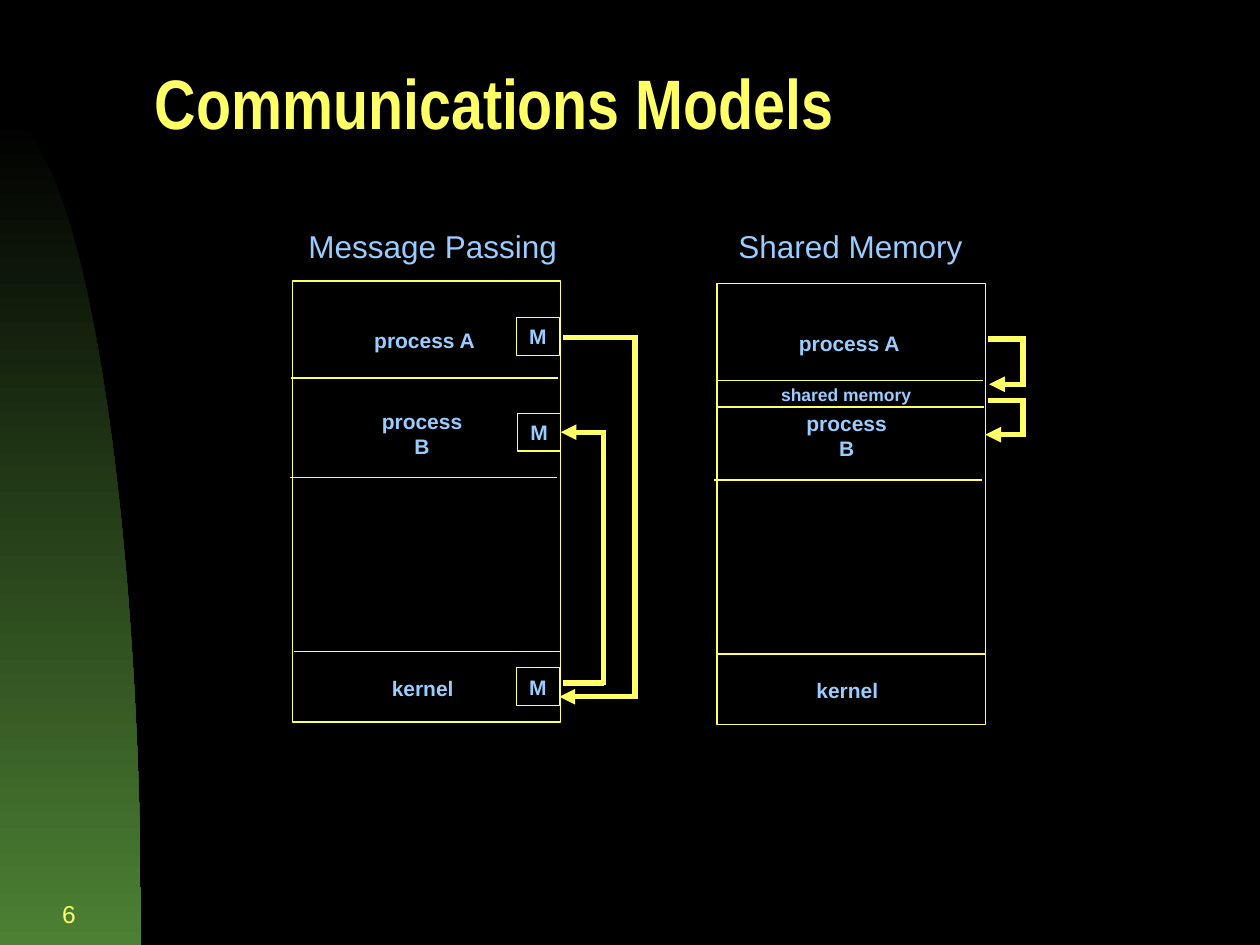
from dataclasses import dataclass

import pptx
import pptx.dml.color
import pptx.enum.shapes
import pptx.enum.text
import pptx.util
from lxml import etree
from pptx.oxml.ns import qn

Align = pptx.enum.text.PP_ALIGN
Fit = pptx.enum.text.MSO_AUTO_SIZE
RECTANGLE = pptx.enum.shapes.MSO_SHAPE.RECTANGLE
STRAIGHT = pptx.enum.shapes.MSO_CONNECTOR.STRAIGHT
COLUMNS, ROWS = 100, 75  # square cells of 0.1 inch
CORNER = 0.2  # overlap that closes the corner of a thick route


@dataclass(frozen=True)
class Theme:
    background: str = "000000"
    accent: str = "FFFF66"
    label: str = "99CCFF"
    glow: str = "4C8033"
    font: str = "Arial"
    title_font: str = "Arial Narrow"
    title: int = 40
    heading: int = 18
    number: int = 14
    body: int = 12
    small: int = 10
    thin: float = 0.75
    thick: float = 3


@dataclass(frozen=True)
class Label:
    text: str
    left: float
    top: float
    width: float
    height: float = 3
    size: int = Theme.body
    bold: bool = True


@dataclass(frozen=True)
class Divider:
    shift: float
    row: float


@dataclass(frozen=True)
class Route:
    """A bracket-shaped arrow: out from start, along the bend column, back to end."""
    start: tuple[float, float]
    bend: float
    end: tuple[float, float]
    target: str = ""


@dataclass(frozen=True)
class Panel:
    left: float
    top: float
    heading: Label
    dividers: tuple[Divider, ...]
    labels: tuple[Label, ...]


THEME = Theme()
PANEL_WIDTH, PANEL_HEIGHT = 21.3, 35
DIVIDERS = (Divider(0.1, 29.4), Divider(-0.2, 15.6), Divider(-0.1, 7.7))
LABELS = (
    Label("kernel", 6.9, 30.8, 6.9),
    Label("process B", 5.3, 10.6, 10),
    Label("process A", 5.5, 3.2, 10),
)
PANELS = (
    Panel(23.2, 22.3, Label("Message Passing", 23.5, 17.5, 21.7, 4, THEME.heading, False),
          DIVIDERS, LABELS),
    Panel(56.9, 22.5, Label("Shared Memory", 57.6, 17.5, 19.8, 4, THEME.heading, False),
          DIVIDERS + (Divider(0, 9.8),),
          LABELS + (Label("shared memory", 4.1, 7.5, 12.3, 2.7, THEME.small),)),
)
MESSAGES = {
    "process A": Label("M", 41, 25.2, 3.4),
    "process B": Label("M", 41.1, 32.8, 3.4),
    "kernel": Label("M", 41, 53, 3.4),
}
ROUTES = (
    Route((44.7, 26.8), 50.4, (44.4, 55.3)),
    Route((44.7, 54.2), 47.9, (44.5, 34.3), "process B"),
    Route((78.4, 26.9), 81.2, (78.5, 30.5)),
    Route((78.4, 31.8), 81.2, (78.2, 34.5)),
)


def color(value: str) -> pptx.dml.color.RGBColor:
    return pptx.dml.color.RGBColor.from_string(value)


def grid(*cells: float) -> list[int]:
    return [pptx.util.Inches(cell / 10) for cell in cells]


def write(box, text: str, size: int, ink: str, bold: bool = False,
          align=Align.CENTER, font: str = THEME.font):
    frame = box.text_frame
    frame.text = text
    frame.vertical_anchor = pptx.enum.text.MSO_ANCHOR.MIDDLE
    para = frame.paragraphs[0]
    para.alignment = align
    para.font.name, para.font.bold = font, bold
    para.font.size = pptx.util.Pt(size)
    para.font.color.rgb = color(ink)
    return para


def write_label(box, label: Label) -> None:
    write(box, label.text, label.size, THEME.label, label.bold)
    box.text_frame.word_wrap = False
    box.text_frame.auto_size = Fit.SHAPE_TO_FIT_TEXT


def add_label(page, label: Label, left: float = 0, top: float = 0) -> None:
    box = page.shapes.add_textbox(
        *grid(left + label.left, top + label.top, label.width, label.height))
    write_label(box, label)


def add_frame(page, left: float, top: float, width: float, height: float):
    box = page.shapes.add_shape(RECTANGLE, *grid(left, top, width, height))
    box.shadow.inherit = False
    box.fill.background()
    box.line.color.rgb = color(THEME.accent)
    box.line.width = pptx.util.Pt(THEME.thin)
    return box


def add_line(page, start: tuple[float, float], end: tuple[float, float],
             width: float, arrow: bool = False):
    line = page.shapes.add_connector(STRAIGHT, *grid(*start, *end))
    line.line.color.rgb = color(THEME.accent)
    line.line.width = pptx.util.Pt(width)
    if arrow:
        etree.SubElement(line.line._get_or_add_ln(), qn("a:tailEnd"), type="triangle")
    etree.SubElement(line._element.spPr, qn("a:effectLst"))
    return line


def add_route(page, route: Route, boxes: dict) -> None:
    first, last = route.start[1], route.end[1]
    overlap = CORNER if last > first else -CORNER
    add_line(page, route.start, (route.bend, first), THEME.thick)
    add_line(page, (route.bend, first - overlap), (route.bend, last + overlap), THEME.thick)
    arrow = add_line(page, (route.bend, last), route.end, THEME.thick, arrow=True)
    if route.target:
        arrow.end_connect(boxes[route.target], 3)


def add_panel(page, panel: Panel) -> None:
    add_label(page, panel.heading)
    add_frame(page, panel.left, panel.top, PANEL_WIDTH, PANEL_HEIGHT)
    for divider in panel.dividers:
        left, row = panel.left + divider.shift, panel.top + divider.row
        add_line(page, (left, row), (left + PANEL_WIDTH - 0.1, row), THEME.thin)
    for label in panel.labels:
        add_label(page, label, panel.left, panel.top)


def add_hill(page, top: float = 9.2, width: float = 11.2, steps: int = 60) -> None:
    """Draw the curved band at the left edge, traced along a cubic curve."""
    curve = []
    for step in range(1, steps + 1):
        t = step / steps
        weights = (1 - t) ** 3, 3 * t * (1 - t) ** 2, 3 * t * t * (1 - t), t ** 3
        x = sum(w * v for w, v in zip(weights, (0, 6.2, width, width)))
        y = sum(w * v for w, v in zip(weights, (top, top, 38.7, ROWS)))
        curve.append(tuple(grid(x, y)))
    builder = page.shapes.build_freeform(*grid(0, top))
    builder.add_line_segments(curve + [tuple(grid(0, ROWS))], close=True)
    hill = builder.convert_to_shape()
    hill.shadow.inherit = False
    hill.line.fill.background()
    hill.fill.gradient()
    hill.fill.gradient_angle = 270
    for stop, ink in zip(hill.fill.gradient_stops, (THEME.background, THEME.glow)):
        stop.color.rgb = color(ink)


def main() -> None:
    deck = pptx.Presentation()
    deck.slide_width, deck.slide_height = grid(COLUMNS, ROWS)
    page = deck.slides.add_slide(deck.slide_layouts[5])
    page.background.fill.solid()
    page.background.fill.fore_color.rgb = color(THEME.background)
    add_hill(page)

    title = page.shapes.title
    title.left, title.top, title.width, title.height = grid(11.3, 3.6, 86.2, 10.5)
    para = write(title, "Communications Models", THEME.title, THEME.accent, True,
                 Align.LEFT, THEME.title_font)
    para.line_spacing = 0.7
    title.text_frame.auto_size = Fit.NONE

    for panel in PANELS:
        add_panel(page, panel)
    boxes = {}
    for owner, label in MESSAGES.items():
        boxes[owner] = add_frame(page, label.left, label.top, label.width, label.height)
        write_label(boxes[owner], label)
    for route in ROUTES:
        add_route(page, route, boxes)

    number = page.shapes.add_textbox(*grid(0, 70, 7, 5))
    number.text_frame.word_wrap = True
    write(number, "6", THEME.number, THEME.accent, align=Align.RIGHT)
    # The number sits inside the band, right-aligned to its box.
    deck.save("out.pptx")


if __name__ == "__main__":
    main()
